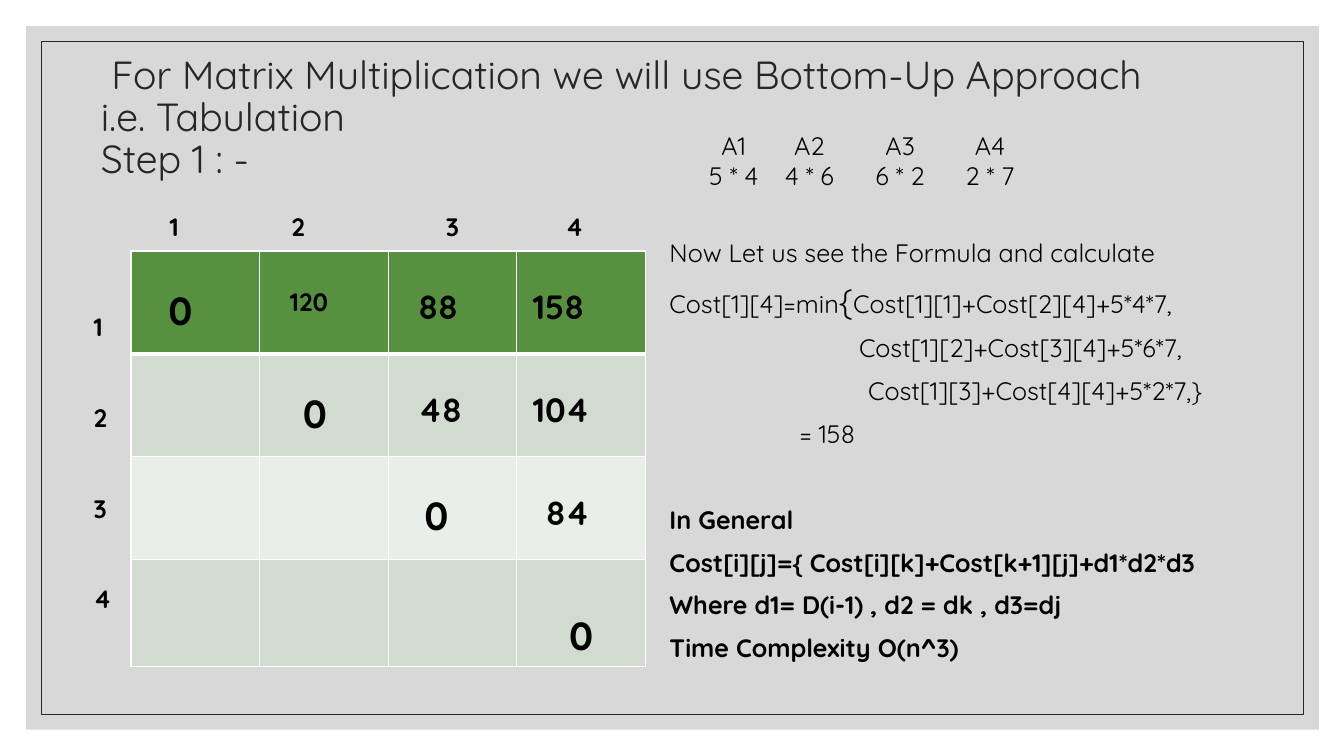
"""Build the matrix multiplication tabulation slide."""
from lxml import etree
from pptx import Presentation
from pptx.dml.color import RGBColor
from pptx.enum.shapes import MSO_SHAPE
from pptx.enum.text import MSO_ANCHOR, MSO_AUTO_SIZE, PP_ALIGN
from pptx.oxml.ns import qn
from pptx.util import Inches, Pt

RECT = MSO_SHAPE.RECTANGLE
TOP, MIDDLE = MSO_ANCHOR.TOP, MSO_ANCHOR.MIDDLE
FIXED = MSO_AUTO_SIZE.NONE
LEFT = PP_ALIGN.LEFT


def paint(code):
    """Return the colour for a hex string."""
    return RGBColor.from_string(code)


def style(para, size, bold=False, color="000000"):
    """Set the font of a whole paragraph."""
    para.alignment = LEFT
    font = para.font
    font.name, font.size, font.bold = "Quicksand", Pt(size), bold
    font.color.rgb = paint(color)


deck = Presentation()
deck.slide_width, deck.slide_height = Inches(13.33), Inches(7.5)
slide = deck.slides.add_slide(deck.slide_layouts[1])
shapes = slide.shapes
title, body = shapes.title, slide.placeholders[1]

panel = shapes.add_shape(RECT, Inches(0.26), Inches(0.26), Inches(12.82), Inches(6.98))
panel.fill.solid()
panel.fill.fore_color.rgb = paint("BFBFBF")
tint = panel.fill._xPr.find(qn("a:solidFill"))[0]
etree.SubElement(tint, qn("a:alpha"), val="60000")
panel.line.fill.background()

frame = shapes.add_shape(RECT, Inches(0.41), Inches(0.41), Inches(12.52), Inches(6.68))
frame.fill.background()
frame.line.color.rgb = paint("262626")
frame.line.width = Pt(0.5)

for place, shape in enumerate((panel, frame), 2):
    shape.shadow.inherit = False
    shapes._spTree.insert(place, shape._element)

title.left, title.top = Inches(0.9), Inches(0.35)
title.width, title.height = Inches(11), Inches(1.66)
title.text_frame.text = (
    " For Matrix Multiplication we will use Bottom-Up Approach i.e. Tabulation\vStep 1 : -"
)
title.text_frame.vertical_anchor = MIDDLE
title.text_frame.auto_size = FIXED
head = title.text_frame.paragraphs[0]
head.line_spacing = 0.9
style(head, 28, color="262626")

# Each entry holds text, size and left inset.
grid = [
    [("0", 28, 0.37), ("120", 18, 0.3), ("88", 24, 0.3), ("158", 24, 0.16)],
    [None, ("0", 28, 0.43), ("48", 24, 0.3), ("104", 24, 0.16)],
    [None, None, ("0", 28, 0.36), ("84", 24, 0.29)],
    [None, None, None, ("0", 28, 0.52)],
]
fills = ["57903F", "D1DBCF", "EAEEE8", "D1DBCF"]
table = shapes.add_table(4, 4, Inches(1.3), Inches(2.49), Inches(5.1), Inches(4.12)).table
table.first_row = table.horz_banding = False
for col in table.columns:
    col.width = Inches(5.1 / 4)
for r, row in enumerate(grid):
    last = r == len(grid) - 1
    table.rows[r].height = Inches(1.06 if last else 1.02)
    for c, entry in enumerate(row):
        cell = table.cell(r, c)
        props = cell._tc.get_or_add_tcPr()
        for side in "LRTB":
            thick = (r, side) in ((0, "B"), (1, "T"))
            edge = etree.SubElement(props, qn("a:ln" + side), w=str(Pt(3 if thick else 1)))
            fill = etree.SubElement(edge, qn("a:solidFill"))
            etree.SubElement(fill, qn("a:srgbClr"), val="FFFFFF")
        cell.fill.solid()
        cell.fill.fore_color.rgb = paint(fills[r])
        if entry:
            cell.text, size, inset = entry
            cell.margin_left = Inches(inset)
            cell.margin_top = Inches(0.52 if last else 0.35)
            cell.vertical_anchor = TOP
            style(cell.text_frame.paragraphs[0], size, True)

lines = [
    ("Now Let us see the Formula and calculate", 0, False),
    ("Cost[1][4]=min{Cost[1][1]+Cost[2][4]+5*4*7,", 0, False),
    ("Cost[1][2]+Cost[3][4]+5*6*7,", 1.88, False),
    ("Cost[1][3]+Cost[4][4]+5*2*7,}", 1.97, False),
    ("= 158", 1.29, False),
    ("In General", 0, True),
    ("Cost[i][j]={ Cost[i][k]+Cost[k+1][j]+d1*d2*d3", 0, True),
    ("Where d1= D(i-1) , d2 = dk , d3=dj", 0, True),
    ("Time Complexity O(n^3)", 0, True),
]
body.left, body.top = Inches(6.54), Inches(2.3)
body.width, body.height = Inches(6.11), Inches(4.51)
text = body.text_frame
text.auto_size, text.vertical_anchor = FIXED, TOP
for i, (words, indent, bold) in enumerate(lines):
    para = text.paragraphs[0] if i == 0 else text.add_paragraph()
    start, brace, rest = words.partition("min{")
    if brace:
        for part in (start + "min", "{", rest):
            run = para.add_run()
            run.text = part
            if part == "{":
                run.font.size = Pt(24)
    else:
        para.text = words
    props = para._p.get_or_add_pPr()
    props.set("marL", str(Inches(indent)))
    props.set("indent", "0")
    etree.SubElement(props, qn("a:buNone"))
    para.space_before = Pt(39.6 if words == "In General" else 9)
    style(para, 18, bold)

labels = [
    ((1.3, 2.05, 5.1, 0.4), ["\t1\t2\t3\t4"], (0.33, 1.56, 3.09, 4.3), True, 0.05),
    ((0.83, 2.74, 0.34, 3.43), ["1", "2", "3", "4"], (), True, 0.35),
    ((6.93, 1.24, 5.26, 0.71), ["\tA1\tA2\tA3\tA4", "\t5 * 4\t4 * 6\t6 * 2\t2 * 7"],
     (0.25, 1, 1.9, 2.79), False, 0.05),
]
for spot, rows, stops, bold, inset in labels:
    text = shapes.add_textbox(*map(Inches, spot)).text_frame
    text.word_wrap = True
    text.margin_top = Inches(inset)
    for i, words in enumerate(rows):
        para = text.paragraphs[0] if i == 0 else text.add_paragraph()
        para.text = words
        if stops:
            tabs = etree.SubElement(para._p.get_or_add_pPr(), qn("a:tabLst"))
            for stop in stops:
                etree.SubElement(tabs, qn("a:tab"), pos=str(Inches(stop)), algn="ctr")
        elif i:
            para.space_before = Pt(43.2)
        style(para, 18, bold)

deck.save("out.pptx")
